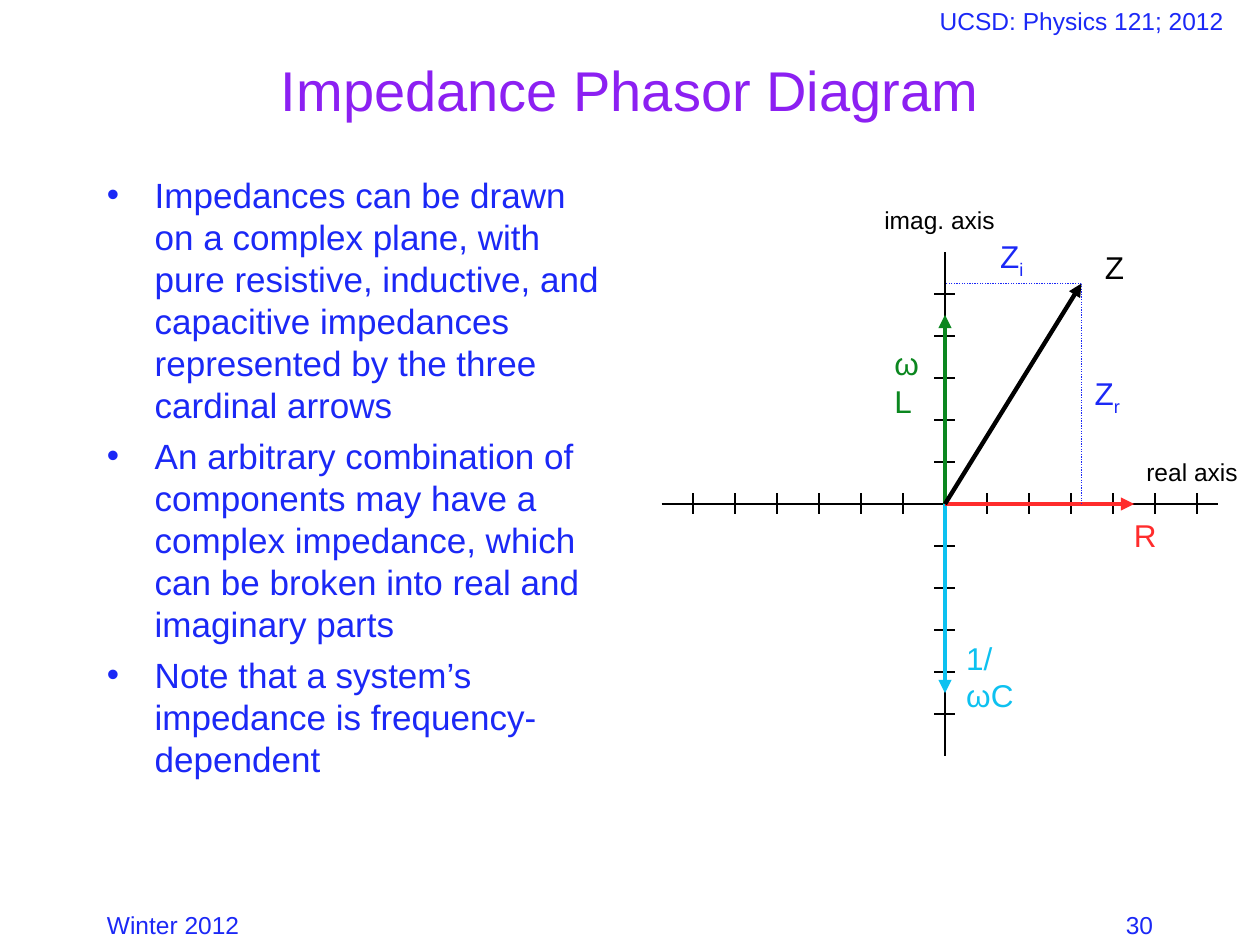
from dataclasses import dataclass

from lxml import etree
from pptx import Presentation
from pptx.dml.color import RGBColor
from pptx.enum.dml import MSO_LINE
from pptx.enum.shapes import MSO_CONNECTOR
from pptx.enum.text import MSO_ANCHOR, PP_ALIGN
from pptx.oxml.ns import qn
from pptx.slide import Slide
from pptx.text.text import TextFrame
from pptx.util import Inches, Pt

LEFT, CENTER, RIGHT = PP_ALIGN.LEFT, PP_ALIGN.CENTER, PP_ALIGN.RIGHT
TOP, MIDDLE = MSO_ANCHOR.TOP, MSO_ANCHOR.MIDDLE
STRAIGHT = MSO_CONNECTOR.STRAIGHT
DOTTED = MSO_LINE.ROUND_DOT

WIDTH, HEIGHT = 10, 7.5
FONT = "Arial"
COLORS = {
    "text": "1B28F6",
    "title": "8C20F2",
    "axis": "000000",
    "resistor": "FF2C2C",
    "inductor": "0B871F",
    "capacitor": "0DC1F0",
}

# Complex plane: origin in inches, one tick per unit
ORIGIN_X, ORIGIN_Y, UNIT = 7.5, 4, 1 / 3
TICK = 0.25
REAL_TICKS, IMAGINARY_TICKS = 6, 5
Z_REAL, Z_IMAGINARY = 3.25, 5.25
ARROW_LENGTH = 4.5


@dataclass
class Label:
    text: str
    left: float
    top: float
    width: float
    height: float
    size: int = 18
    color: str = "text"
    align: PP_ALIGN = LEFT
    anchor: MSO_ANCHOR = TOP
    subscript: str = ""


@dataclass
class Segment:
    """A line between two points of the complex plane, in units."""
    start: tuple[float, float]
    end: tuple[float, float]
    color: str = "axis"
    weight: float = 0.75
    arrow: bool = False
    dotted: bool = False


LABELS = [
    # Header, footer and title
    Label("Winter 2012", 0.75, 7.17, 2.08, 0.33, 14),
    Label("UCSD: Physics 121; 2012", 7.17, 0, 2.83, 0.5, 14, align=CENTER),
    Label("30", 7.17, 7.17, 2.08, 0.33, 14, align=RIGHT),
    Label("Impedance Phasor Diagram", 0.75, 0.08, 8.5, 1.25, 32, "title",
          CENTER, MIDDLE),
    # Diagram
    Label("R", 8.9, 4.05, 0.45, 0.4, color="resistor"),
    Label("ωL", 7, 2.68, 0.51, 0.4, color="inductor"),
    Label("Z", 8.67, 1.92, 0.45, 0.4, color="axis"),
    Label("Z", 8.59, 2.92, 0.5, 0.44, subscript="r"),
    Label("Z", 7.84, 1.83, 0.5, 0.44, subscript="i"),
    Label("1/ωC", 7.57, 5.02, 0.76, 0.4, color="capacitor"),
    Label("real axis", 9, 3.58, 1, 0.34, 14, "axis"),
    Label("imag. axis", 6.92, 1.58, 1.2, 0.34, 14, "axis"),
]

BULLETS = Label(
    "Impedances can be drawn on a complex plane, with pure resistive, "
    "inductive, and capacitive impedances represented by the three "
    "cardinal arrows\n"
    "An arbitrary combination of components may have a complex impedance, "
    "which can be broken into real and imaginary parts\n"
    "Note that a system’s impedance is frequency-dependent",
    0.75, 1.33, 4.17, 5.5, 20)

AXES = [Segment((0, 6), (0, -6)), Segment((-6.75, 0), (6.5, 0))]

PHASORS = [
    Segment((0, 0), end, color, 2.5, arrow=True)
    for end, color in (
        ((0, -ARROW_LENGTH), "capacitor"),
        ((0, ARROW_LENGTH), "inductor"),
        ((ARROW_LENGTH, 0), "resistor"),
        ((Z_REAL, Z_IMAGINARY), "axis"),
    )
]

PROJECTIONS = [
    Segment((Z_REAL, Z_IMAGINARY), end, "text", dotted=True)
    for end in ((0, Z_IMAGINARY), (Z_REAL, 0))
]


def rgb(name: str) -> RGBColor:
    return RGBColor.from_string(COLORS[name])


def tick_marks() -> list[Segment]:
    def steps(count: int) -> list[int]:
        return [step for step in range(-count, count + 1) if step]

    return ([Segment((x, TICK), (x, -TICK)) for x in steps(REAL_TICKS)]
            + [Segment((-TICK, y), (TICK, y)) for y in steps(IMAGINARY_TICKS)])


def draw_segment(slide: Slide, segment: Segment) -> None:
    points = [(Inches(ORIGIN_X + x * UNIT), Inches(ORIGIN_Y - y * UNIT))
              for x, y in (segment.start, segment.end)]
    connector = slide.shapes.add_connector(STRAIGHT, *points[0], *points[1])
    connector.line.color.rgb = rgb(segment.color)
    connector.line.width = Pt(segment.weight)
    if segment.dotted:
        connector.line.dash_style = DOTTED
    properties = connector._element.spPr
    if segment.arrow:
        etree.SubElement(properties.find(qn("a:ln")), qn("a:tailEnd"),
                         type="triangle")
    etree.SubElement(properties, qn("a:effectLst"))


def draw_label(slide: Slide, label: Label) -> TextFrame:
    box = slide.shapes.add_textbox(*map(Inches, (
        label.left, label.top, label.width, label.height)))
    frame = box.text_frame
    frame.text = label.text
    frame.word_wrap = True
    frame.vertical_anchor = label.anchor
    if label.subscript:
        run = frame.paragraphs[0].add_run()
        run.text = label.subscript
        run.font._element.set("baseline", "-25000")
    for paragraph in frame.paragraphs:
        paragraph.alignment = label.align
        for run in paragraph.runs:
            run.font.name = FONT
            run.font.size = Pt(label.size)
            run.font.color.rgb = rgb(label.color)
    return frame


def draw_bullets(slide: Slide, label: Label) -> None:
    for paragraph in draw_label(slide, label).paragraphs:
        paragraph.space_before = Pt(5)
        properties = paragraph._element.get_or_add_pPr()
        properties.set("marL", str(Inches(0.38)))
        properties.set("indent", str(-Inches(0.38)))
        etree.SubElement(properties, qn("a:buFont"), typeface=FONT)
        etree.SubElement(properties, qn("a:buChar"), char="•")


def main() -> None:
    presentation = Presentation()
    presentation.slide_width = Inches(WIDTH)
    presentation.slide_height = Inches(HEIGHT)
    slide = presentation.slides.add_slide(presentation.slide_layouts[6])

    draw_bullets(slide, BULLETS)
    for segment in AXES + tick_marks() + PHASORS + PROJECTIONS:
        draw_segment(slide, segment)
    for label in LABELS:
        draw_label(slide, label)

    presentation.save("out.pptx")


if __name__ == "__main__":
    main()
